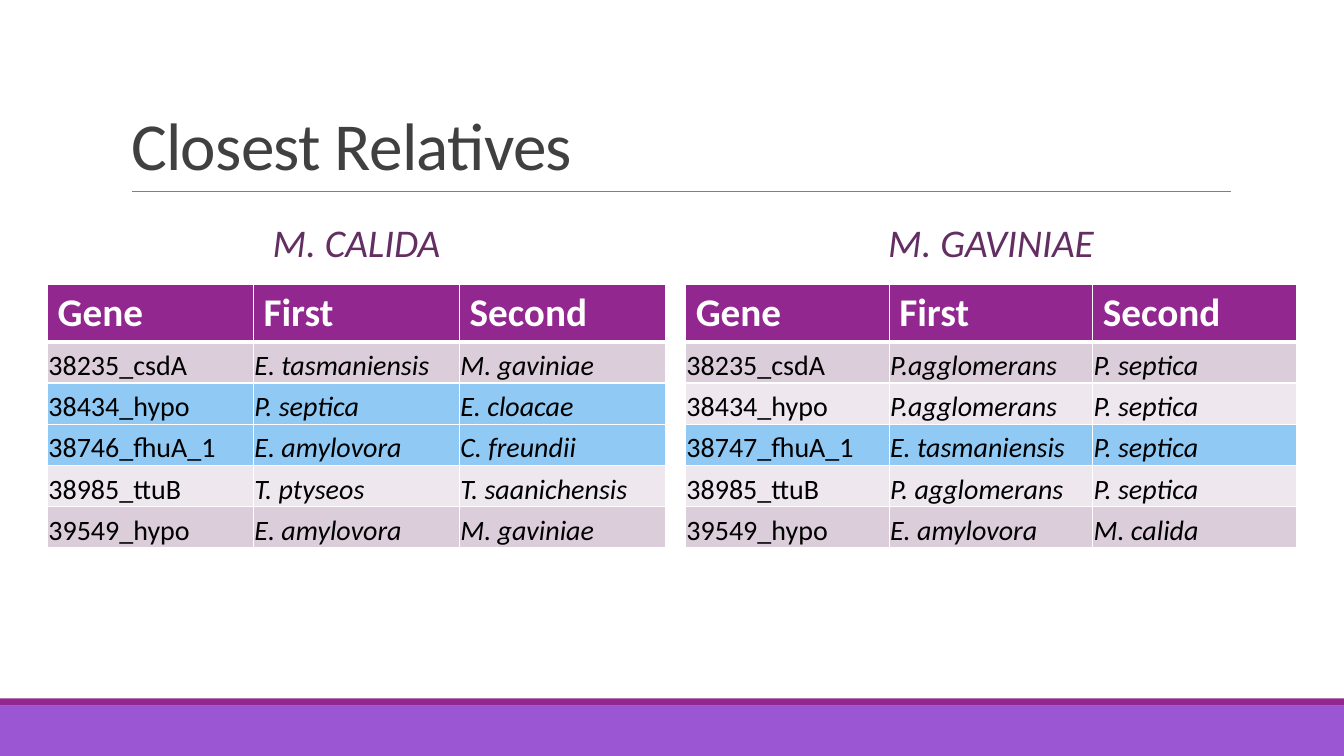
from dataclasses import dataclass

from lxml import etree
from pptx import Presentation
from pptx.dml.color import RGBColor
from pptx.enum.shapes import MSO_CONNECTOR, MSO_SHAPE
from pptx.enum.text import MSO_ANCHOR, MSO_AUTO_SIZE, PP_ALIGN
from pptx.oxml.ns import qn
from pptx.util import Cm, Pt

RECTANGLE = MSO_SHAPE.RECTANGLE
STRAIGHT = MSO_CONNECTOR.STRAIGHT
BOTTOM, MIDDLE, TOP = MSO_ANCHOR.BOTTOM, MSO_ANCHOR.MIDDLE, MSO_ANCHOR.TOP
LEFT, CENTER = PP_ALIGN.LEFT, PP_ALIGN.CENTER
NO_AUTOFIT = MSO_AUTO_SIZE.NONE

PURPLE, VIOLET, WHITE, BLACK = "92278F", "9B57D3", "FFFFFF", "000000"
HIGHLIGHT = "8FC9F4"
BANDS = ("DCCDDB", "EEE8EE")
HEADER = ("Gene", "First", "Second")
ROW_HEIGHT = 1.04

TITLE_FONT = {"name": "Calibri", "size": Pt(48), "bold": False}
SPECIES_FONT = {"name": "Calibri", "size": Pt(28), "italic": True}
HEADER_FONT = {"name": "Calibri", "size": Pt(28), "bold": True}
GENE_FONT = {"name": "Calibri", "size": Pt(20), "bold": False, "italic": False}
RELATIVE_FONT = GENE_FONT | {"italic": True}
BODY_CELL = {
    "vertical_anchor": BOTTOM,
    "margin_left": Cm(0.02),
    "margin_right": Cm(0.02),
    "margin_top": Cm(0.02),
    "margin_bottom": 0,
}


@dataclass(frozen=True)
class Bar:
    top: float
    height: float
    color: str


@dataclass(frozen=True)
class Species:
    name: str
    left: float
    width: float
    genes: tuple[tuple[str, str, str], ...]
    highlighted: tuple[int, ...]


BARS = (Bar(17.78, 1.27, VIOLET), Bar(17.6, 0.18, PURPLE))

SPECIES = (
    Species("M. CALIDA", 1.2, 15.57, (
        ("38235_csdA", "E. tasmaniensis", "M. gaviniae"),
        ("38434_hypo", "P. septica", "E. cloacae"),
        ("38746_fhuA_1", "E. amylovora", "C. freundii"),
        ("38985_ttuB", "T. ptyseos", "T. saanichensis"),
        ("39549_hypo", "E. amylovora", "M. gaviniae"),
    ), (2, 3)),
    Species("M. GAVINIAE", 17.28, 15.39, (
        ("38235_csdA", "P.agglomerans", "P. septica"),
        ("38434_hypo", "P.agglomerans", "P. septica"),
        ("38747_fhuA_1", "E. tasmaniensis", "P. septica"),
        ("38985_ttuB", "P. agglomerans", "P. septica"),
        ("39549_hypo", "E. amylovora", "M. calida"),
    ), (3,)),
)


def rgb(color: str) -> RGBColor:
    return RGBColor.from_string(color)


def apply(target, values: dict) -> None:
    for name, value in values.items():
        setattr(target, name, value)


def write(paragraph, text: str, font: dict, color: str):
    run = paragraph.add_run()
    run.text = text
    apply(run.font, font)
    run.font.color.rgb = rgb(color)
    return run


def draw_bar(slide, bar: Bar, slide_width: int) -> None:
    shape = slide.shapes.add_shape(RECTANGLE, 0, Cm(bar.top), slide_width, Cm(bar.height))
    shape.shadow.inherit = False
    shape.fill.solid()
    shape.fill.fore_color.rgb = rgb(bar.color)
    shape.line.fill.background()


def draw_title_rule(slide) -> None:
    rule = slide.shapes.add_connector(STRAIGHT, Cm(3.33), Cm(4.83), Cm(31.01), Cm(4.83))
    rule.line.color.rgb = rgb("808080")
    rule.line.width = Pt(0.5)
    etree.SubElement(rule._element.spPr, qn("a:effectLst"))


def draw_title(slide, text: str) -> None:
    title = slide.shapes.title
    apply(title, {"left": Cm(3.05), "top": Cm(0.74), "width": Cm(27.94), "height": Cm(4.04)})
    apply(title.text_frame, {
        "word_wrap": True, "auto_size": NO_AUTOFIT, "vertical_anchor": BOTTOM,
    })
    paragraph = title.text_frame.paragraphs[0]
    apply(paragraph, {"alignment": LEFT, "line_spacing": 0.85})
    run = write(paragraph, text, TITLE_FONT, "404040")
    run.font._element.set("spc", "-50")


def draw_species_name(slide, species: Species) -> None:
    heading = slide.shapes.add_textbox(
        Cm(species.left), Cm(5.13), Cm(species.width), Cm(2.06))
    apply(heading.text_frame, {"word_wrap": True, "vertical_anchor": MIDDLE})
    paragraph = heading.text_frame.paragraphs[0]
    apply(paragraph, {"alignment": CENTER, "line_spacing": 0.9, "space_after": Pt(2)})
    write(paragraph, species.name, SPECIES_FONT, "632E62")


def set_borders(cell, top: float, bottom: float) -> None:
    properties = cell._tc.get_or_add_tcPr()
    for side, width in {"L": 1, "R": 1, "T": top, "B": bottom}.items():
        border = etree.SubElement(properties, qn(f"a:ln{side}"), w=str(Pt(width)))
        fill = etree.SubElement(border, qn("a:solidFill"))
        etree.SubElement(fill, qn("a:srgbClr"), val=WHITE)


def format_cell(cell, text: str, row: int, column: int, fill: str) -> None:
    is_header = row == 0
    set_borders(cell, top=3 if row == 1 else 1, bottom=3 if is_header else 1)
    cell.fill.solid()
    cell.fill.fore_color.rgb = rgb(fill)
    apply(cell, {"vertical_anchor": TOP} if is_header else BODY_CELL)
    body_font = GENE_FONT if column == 0 else RELATIVE_FONT
    font, color = (HEADER_FONT, WHITE) if is_header else (body_font, BLACK)
    write(cell.text_frame.paragraphs[0], text, font, color)


def row_fill(species: Species, row: int) -> str:
    if row == 0:
        return PURPLE
    return HIGHLIGHT if row in species.highlighted else BANDS[(row - 1) % 2]


def draw_relatives(slide, species: Species) -> None:
    rows = (HEADER, *species.genes)
    table = slide.shapes.add_table(
        len(rows), len(HEADER), Cm(species.left), Cm(7.17),
        Cm(species.width), Cm(ROW_HEIGHT * len(rows))).table
    table.horz_banding = False
    for row, texts in enumerate(rows):
        for column, text in enumerate(texts):
            format_cell(table.cell(row, column), text, row, column, row_fill(species, row))


def main() -> None:
    presentation = Presentation()
    apply(presentation, {"slide_width": Cm(33.87), "slide_height": Cm(19.05)})
    slide = presentation.slides.add_slide(presentation.slide_layouts.get_by_name("Title Only"))
    for bar in BARS:
        draw_bar(slide, bar, presentation.slide_width)
    draw_title_rule(slide)
    draw_title(slide, "Closest Relatives")
    for species in SPECIES:
        draw_species_name(slide, species)
        draw_relatives(slide, species)
    presentation.save("out.pptx")


if __name__ == "__main__":
    main()
